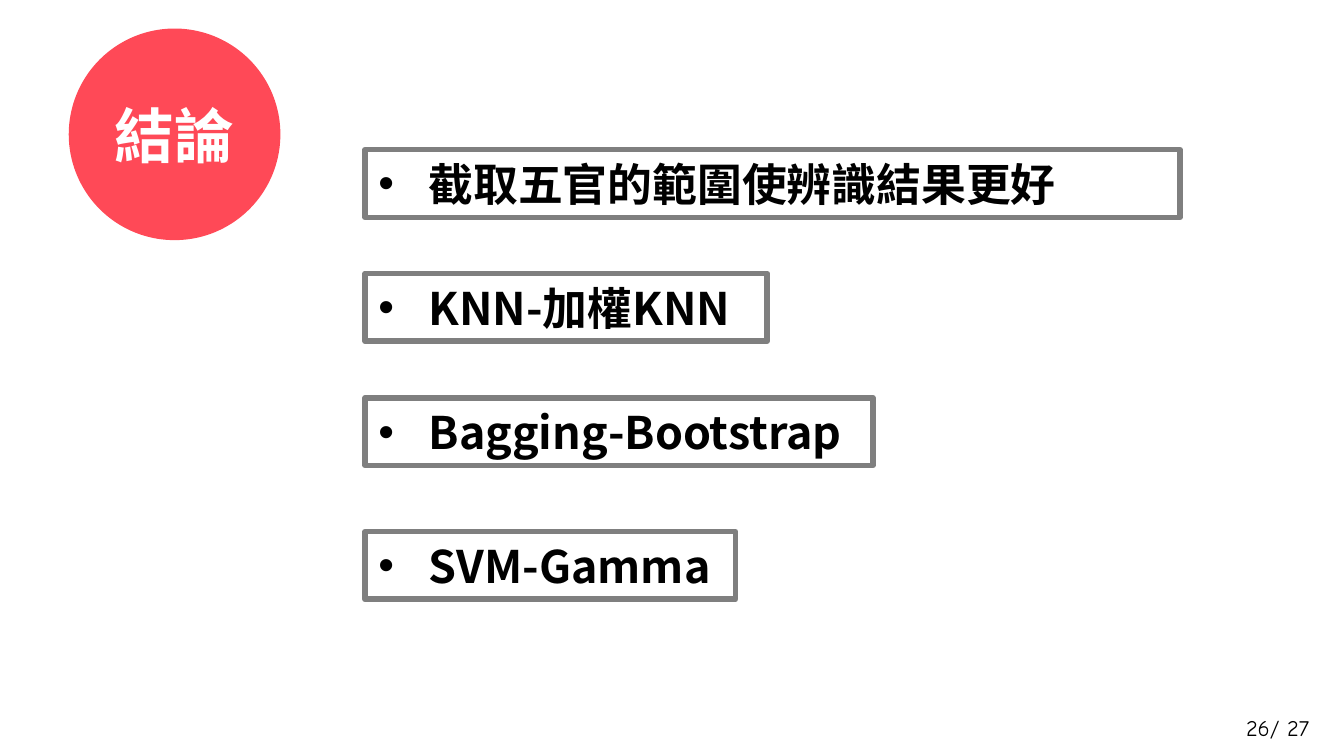
import pptx
import pptx.util
import pptx.dml.color
import pptx.enum.shapes
import pptx.enum.text
import pptx.oxml
import pptx.oxml.ns

COLORS = {"red": "FF4957", "gray": "7F7F7F", "black": "000000", "white": "FFFFFF"}
FONT = "Noto Sans CJK TC"
NS = pptx.oxml.ns.nsdecls("a")
Cm = pptx.util.Cm


def rgb(name):
    return pptx.dml.color.RGBColor.from_string(COLORS[name])


def style(p, size, color, font=FONT, bold=True):
    for r in p.runs:
        r.font.size = pptx.util.Pt(size)
        r.font.bold = bold
        r.font.name = font
        r.font.color.rgb = rgb(color)
        r._r.get_or_add_rPr().append(
            pptx.oxml.parse_xml(f'<a:ea {NS} typeface="{font}"/>'))


prs = pptx.Presentation()
prs.slide_width, prs.slide_height = Cm(25.4), Cm(14.29)
s = prs.slides.add_slide(prs.slide_layouts[5])

circle_box = Cm(1.3), Cm(0.54), Cm(4), Cm(4)
circle = s.shapes.add_shape(pptx.enum.shapes.MSO_SHAPE.OVAL, *circle_box)
circle.shadow.inherit = False
circle.fill.solid()
circle.fill.fore_color.rgb = rgb("red")
circle.line.fill.background()

title = s.shapes.title
title.left, title.top, title.width, title.height = circle_box
s.shapes._spTree.append(title._element)
tf = title.text_frame
tf.text = "結論"
tf.vertical_anchor = pptx.enum.text.MSO_ANCHOR.MIDDLE
tf.paragraphs[0].alignment = pptx.enum.text.PP_ALIGN.CENTER
style(tf.paragraphs[0], 32, "white")

conclusions = [
    ("截取五官的範圍使辨識結果更好", 2.83, 15.4),
    ("KNN-加權KNN", 5.17, 7.6),
    ("Bagging-Bootstrap", 7.52, 9.6),
    ("SVM-Gamma", 10.05, 7),
]
for text, top, width in conclusions:
    sp = s.shapes.add_shape(pptx.enum.shapes.MSO_SHAPE.RECTANGLE,
                            Cm(6.9), Cm(top), Cm(width), Cm(1.28))
    sp.shadow.inherit = False
    sp.fill.background()
    sp.line.color.rgb = rgb("gray")
    sp.line.width = pptx.util.Pt(3)
    tf = sp.text_frame
    tf.word_wrap = True
    tf.vertical_anchor = pptx.enum.text.MSO_ANCHOR.MIDDLE
    tf.text = text
    p = tf.paragraphs[0]
    p.alignment = pptx.enum.text.PP_ALIGN.LEFT
    pPr = p._p.get_or_add_pPr()
    pPr.set("marL", str(Cm(0.95)))
    pPr.set("indent", str(-Cm(0.95)))
    pPr.append(pptx.oxml.parse_xml(f'<a:buFont {NS} typeface="Arial"/>'))
    pPr.append(pptx.oxml.parse_xml(f'<a:buChar {NS} char="•"/>'))
    style(p, 24, "black")

page = s.shapes.add_textbox(Cm(23.3), Cm(13.38), Cm(2.2), Cm(0.76))
tf = page.text_frame
tf.word_wrap = True
tf.text = "26/ 27"
style(tf.paragraphs[0], 12, "black", "Comic Neue", False)

prs.save("out.pptx")
